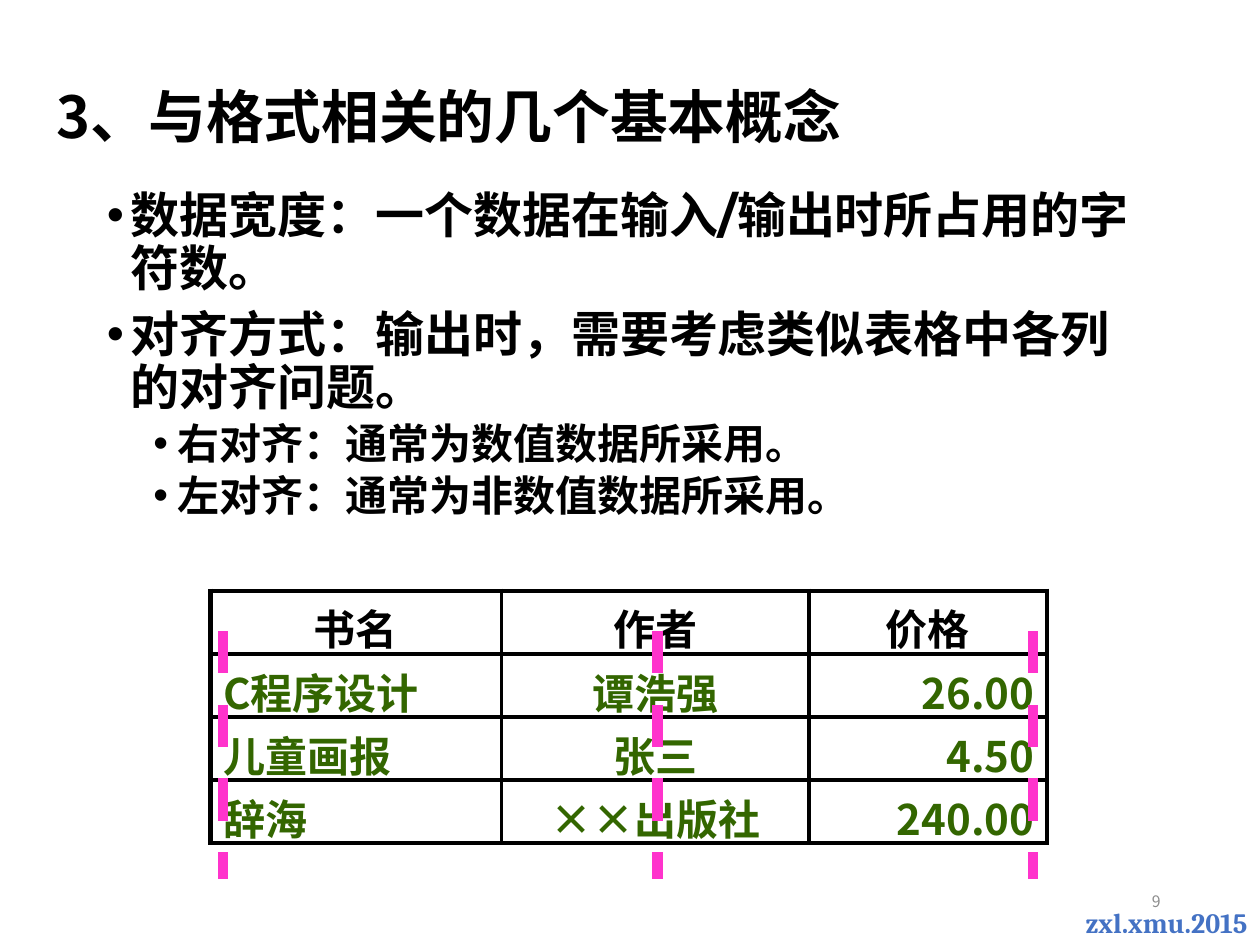
from lxml import etree
from pptx import Presentation
from pptx import util as u
from pptx.dml.color import RGBColor
from pptx.enum import dml, shapes, text
from pptx.oxml import ns

BLACK = RGBColor(0x00, 0x00, 0x00)
WHITE = RGBColor(0xFF, 0xFF, 0xFF)
GREEN = RGBColor(0x33, 0x66, 0x00)
PINK = RGBColor(0xFF, 0x33, 0xCC)
BLUE = RGBColor(0x44, 0x72, 0xC4)
GRAY = RGBColor(0x8C, 0x8C, 0x8C)
SANS = "Noto Sans CJK SC"
BODY = "Montserrat"
LEFT, MID, RIGHT = (text.PP_ALIGN.LEFT, text.PP_ALIGN.CENTER,
                    text.PP_ALIGN.RIGHT)

POINTS = [
    (0, "数据宽度：一个数据在输入/输出时所占用的字符数。"),
    (0, "对齐方式：输出时，需要考虑类似表格中各列的对齐问题。"),
    (1, "右对齐：通常为数值数据所采用。"),
    (1, "左对齐：通常为非数值数据所采用。"),
]
BOOKS = [
    ("书名", "作者", "价格"),
    ("C程序设计", "谭浩强", "26.00"),
    ("儿童画报", "张三", "4.50"),
    ("辞海", "××出版社", "240.00"),
]


def add_sub(node, tag, **attrs):
    """Append a DrawingML child and return it."""
    return etree.SubElement(node, ns.qn(tag), attrs)


def add_run(para, words, size, color, face=SANS, bold=True):
    """Add one styled run, with the same face for Latin and Chinese."""
    run = para.add_run()
    run.text = words
    font = run.font
    font.size, font.bold, font.name = u.Pt(size), bold, face
    font.color.rgb = color
    add_sub(run._r.get_or_add_rPr(), "a:ea", typeface=face)


def add_box(slide, left, top, width, height, anchor, wrap=True):
    """Add an empty text box and return its frame."""
    box = slide.shapes.add_textbox(*map(u.Inches, (left, top, width, height)))
    frame = box.text_frame
    frame.word_wrap, frame.vertical_anchor = wrap, anchor
    return frame


def add_line(slide, words, place, anchor, align, size, color,
             face=SANS, bold=True, wrap=True):
    """Add a box that holds a single paragraph."""
    para = add_box(slide, *place, anchor, wrap).paragraphs[0]
    para.alignment = align
    add_run(para, words, size, color, face, bold)
    return para


def add_list(slide):
    """Add the two-level bullet list."""
    frame = add_box(slide, 0.75, 1.47, 8.5, 5.2, text.MSO_ANCHOR.TOP)
    for row, (level, words) in enumerate(POINTS):
        para = frame.add_paragraph() if row else frame.paragraphs[0]
        para.level, para.line_spacing = level, 0.9
        if row:
            para.space_before = u.Pt((7.5, 3.8)[level])
        props = para._p.get_or_add_pPr()
        props.set("marL", str(u.Inches((0.19, 0.56)[level])))
        props.set("indent", str(u.Inches(-0.19)))
        add_sub(props, "a:buFont", typeface="Arial")
        add_sub(props, "a:buChar", char="•")
        add_run(para, words, (28, 24)[level], BLACK, BODY)


def add_edge(cell, side, width):
    """Draw one black border of a cell."""
    edge = add_sub(cell._tc.get_or_add_tcPr(), "a:ln" + side,
                   w=str(u.Pt(width)))
    fill = add_sub(edge, "a:solidFill")
    add_sub(fill, "a:srgbClr", val=str(BLACK))


def add_books(slide):
    """Add the book table, with a thicker outer frame."""
    rows, cols = len(BOOKS), len(BOOKS[0])
    place = map(u.Inches, (1.67, 4.69, 6.64, 2))
    table = slide.shapes.add_table(rows, cols, *place).table
    table.first_row = table.horz_banding = False
    for col, width in zip(table.columns, (2.31, 2.44, 1.89)):
        col.width = u.Inches(width)
    for r, book in enumerate(BOOKS):
        for c, words in enumerate(book):
            cell = table.cell(r, c)
            outer = {"L": c == 0, "R": c == cols - 1,
                     "T": r == 0, "B": r == rows - 1}
            for side, thick in outer.items():
                add_edge(cell, side, 3 if thick else 2.25)
            cell.fill.solid()
            cell.fill.fore_color.rgb = WHITE
            para = cell.text_frame.paragraphs[0]
            para.alignment = (LEFT, MID, RIGHT)[c] if r else MID
            add_run(para, words, 24, GREEN if r else BLACK)


def add_guide(slide, left):
    """Add a dashed vertical alignment guide."""
    ends = map(u.Inches, (left, 5.01, left, 6.98))
    guide = slide.shapes.add_connector(shapes.MSO_CONNECTOR.STRAIGHT, *ends)
    guide.line.color.rgb = PINK
    guide.line.width = u.Pt(6)
    guide.line.dash_style = dml.MSO_LINE.DASH
    add_sub(guide._element.spPr, "a:effectLst")


def main():
    """Build and save the slide."""
    deck = Presentation()
    deck.slide_width, deck.slide_height = u.Inches(10), u.Inches(7.5)
    slide = deck.slides.add_slide(deck.slide_layouts[6])
    top, mid = text.MSO_ANCHOR.TOP, text.MSO_ANCHOR.MIDDLE
    add_line(slide, "zxl.xmu.2015", (8.27, 7.14, 1.73, 0.37), top, RIGHT,
             16, BLUE, "Cambria", wrap=False)
    title = add_line(slide, "3、与格式相关的几个基本概念",
                     (0.35, 0.44, 8.5, 1.02), mid, LEFT, 33, BLACK)
    title.line_spacing = 0.9
    add_list(slide)
    add_line(slide, "9", (7.06, 6.95, 2.25, 0.4), mid, RIGHT,
             9, GRAY, bold=False)
    add_books(slide)
    for left in (1.77, 5.22, 8.2):
        add_guide(slide, left)
    deck.save("out.pptx")


if __name__ == "__main__":
    main()
